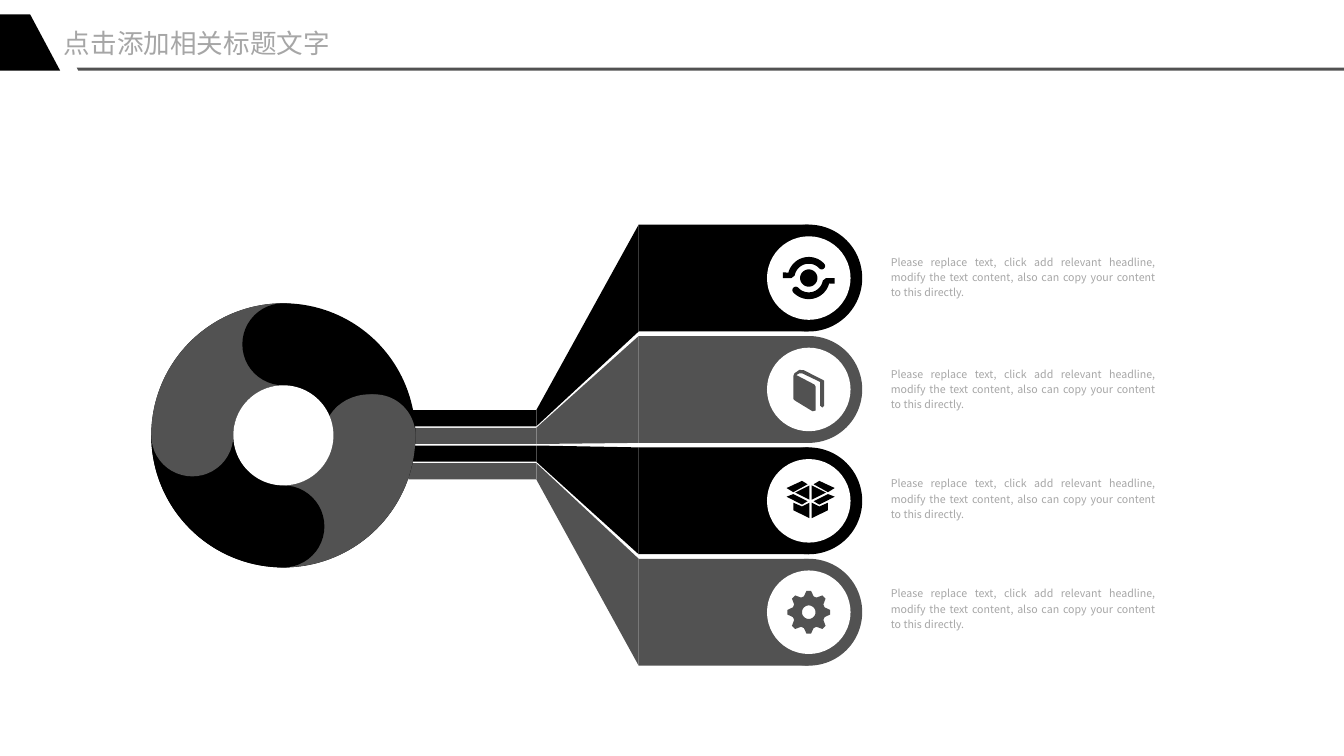
from math import cos, radians, sin

from pptx import Presentation
from pptx.dml.color import RGBColor
from pptx.enum.shapes import MSO_SHAPE as Preset
from pptx.enum.text import MSO_AUTO_SIZE as AutoSize, PP_ALIGN as Align
from pptx.util import Cm, Pt

COLORS = {"black": "000000", "grey": "525252", "white": "FFFFFF", "text": "A6A6A6"}
WIDTH, HEIGHT = 35.71, 20.09
TITLE = "点击添加相关标题文字"
CAPTION = ("Please replace text, click add relevant headline, "
           "modify the text content, also can copy your content to this directly.")
CAPTION_TOPS = (6.73, 9.7, 12.62, 15.54)

BRANCH_TOP, BRANCH_STEP, BRANCH_HEIGHT = 5.97, 2.96, 2.84
STEM_TOP, STEM_STEP, STEM_HEIGHT = 10.9, 0.47, 0.43
STEM_LEFT, BEND_LEFT, BAR_LEFT = 10.85, 14.25, 16.97
BADGE_X, BADGE_RADIUS = 21.49, 1.11
RING_X, RING_Y = 7.53, 11.57
RING_RADIUS, HUB_RADIUS, DOT_RADIUS = 3.51, 1.33, 1.09

BOOK = [(0.38, -0.25), (-0.13, -0.51), (-0.25, -0.52), (-0.38, -0.43), (-0.41, -0.36),
        (-0.41, 0.25), (-0.36, 0.3), (0.1, 0.58), (0.18, 0.56), (0.18, -0.08),
        (0.15, -0.13), (-0.33, -0.38), (-0.25, -0.43), (-0.18, -0.43), (0.3, -0.2),
        (0.3, 0.43), (0.36, 0.48), (0.41, 0.43), (0.41, -0.23)]
BOX_HALF = [
    [(0.03, -0.41), (0.03, -0.03), (0.41, -0.22)],
    [(0.64, -0.34), (0.46, -0.23), (0.08, -0.44), (0.23, -0.53)],
    [(0.64, -0.11), (0.23, 0.1), (0.08, 0.01), (0.46, -0.18)],
    [(0.03, 0.05), (0.03, 0.46), (0.46, 0.25), (0.46, 0.05), (0.23, 0.15)],
]
GEAR_TOOTH = [(-0.13, -0.42), (-0.06, -0.57), (0.06, -0.57), (0.13, -0.42)]


def paint(shape, color):
    """Give a shape a flat fill with no line or shadow."""
    shape.shadow.inherit = False
    shape.fill.solid()
    shape.fill.fore_color.rgb = RGBColor.from_string(COLORS[color])
    shape.line.fill.background()


def add_bar(shapes, left, top, width, height, color):
    """Add a plain rectangle."""
    paint(shapes.add_shape(Preset.RECTANGLE, Cm(left), Cm(top), Cm(width), Cm(height)), color)


def add_disc(shapes, x, y, radius_x, radius_y, color):
    """Add an ellipse around its centre."""
    paint(shapes.add_shape(Preset.OVAL, Cm(x - radius_x), Cm(y - radius_y),
                           Cm(2 * radius_x), Cm(2 * radius_y)), color)


def add_outline(shapes, contours, color, x=0, y=0):
    """Add one filled shape from closed contours placed relative to x, y."""
    placed = [[(Cm(x + px), Cm(y + py)) for px, py in contour] for contour in contours]
    builder = shapes.build_freeform(*placed[0][0])
    for number, contour in enumerate(placed):
        if number:
            builder.move_to(*contour[0])
        builder.add_line_segments(contour[1:], close=True)
    paint(builder.convert_to_shape(), color)


def add_text(shapes, left, top, width, height, words, font, size):
    """Add a text box without margins and return its paragraph."""
    frame = shapes.add_textbox(Cm(left), Cm(top), Cm(width), Cm(height)).text_frame
    frame.margin_left = frame.margin_right = frame.margin_top = frame.margin_bottom = 0
    frame.word_wrap = True
    frame.auto_size = AutoSize.SHAPE_TO_FIT_TEXT
    run = frame.paragraphs[0].add_run()
    run.text = words
    run.font.name = font
    run.font.size = Pt(size)
    run.font.color.rgb = RGBColor.from_string(COLORS["text"])
    return frame.paragraphs[0]


def polar(radius, angle):
    """Return the point at an angle in degrees, clockwise from the right."""
    return radius * cos(radians(angle)), radius * sin(radians(angle))


def arc(radius, start, end, x=0, y=0, steps=36):
    """Return points along a circular arc."""
    turns = (polar(radius, start + (end - start) * step / steps) for step in range(steps + 1))
    return [(x + px, y + py) for px, py in turns]


def orbit_icon():
    """Return a core with two arms, one the half turn of the other."""
    tip_x, tip_y = polar(0.47, 317)
    arm = [(-0.69, 0), (-0.69, -0.15), *arc(0.56, 195, 317),
           *arc(0.09, 317, 497, tip_x, tip_y), *arc(0.38, 317, 190), (-0.46, 0)]
    return [arm, [(-x, -y) for x, y in arm], arc(0.23, 0, 360)]


def box_icon():
    """Return the open box as two mirrored halves."""
    return [[(0.05 + side * x, y) for x, y in part] for side in (1, -1) for part in BOX_HALF]


def gear_icon():
    """Return eight turned teeth and a round hole."""
    rim = []
    for angle in range(0, 360, 45):
        c, s = polar(1, angle)
        rim += [(x * c - y * s, x * s + y * c) for x, y in GEAR_TOOTH]
    return [rim, arc(0.18, 0, 360)]


def add_header(shapes):
    """Add the slide title with its tab and rule."""
    add_outline(shapes, [[(2.04, 1.8), (WIDTH, 1.8), (WIDTH, 1.88), (2.08, 1.88)]], "grey")
    add_outline(shapes, [[(0.8, 0.38), (1.6, 1.88), (0, 1.88), (0, 0.38)]], "black")
    add_text(shapes, 1.7, 0.71, 8.51, 0.86, TITLE, "Arial", 20)


def add_branch(shapes, row, icon, color):
    """Add one branch: bar, stem, bend, round end and icon badge."""
    top = BRANCH_TOP + row * BRANCH_STEP
    stem = STEM_TOP + row * STEM_STEP
    radius = BRANCH_HEIGHT / 2
    middle = top + radius
    add_bar(shapes, BAR_LEFT, top, BADGE_X - BAR_LEFT, BRANCH_HEIGHT, color)
    add_bar(shapes, STEM_LEFT, stem, BEND_LEFT - STEM_LEFT, STEM_HEIGHT, color)
    add_outline(shapes, [[(BEND_LEFT, stem), (BAR_LEFT, top), (BAR_LEFT, top + BRANCH_HEIGHT),
                          (BEND_LEFT, stem + STEM_HEIGHT)]], color)
    add_disc(shapes, BADGE_X, middle, radius, radius, color)
    add_disc(shapes, BADGE_X, middle, BADGE_RADIUS, BADGE_RADIUS, "white")
    add_outline(shapes, icon, color, BADGE_X, middle)


def add_ring(shapes):
    """Add the ring of four overlapping petals around a white hub."""
    orbit = (RING_RADIUS + HUB_RADIUS) / 2
    add_disc(shapes, RING_X, RING_Y, RING_RADIUS, RING_RADIUS, "black")
    for start, petal, dot in ((270, "grey", "black"), (180, "black", "grey"),
                              (90, "grey", "black")):
        end = start - 90
        outline = [*arc(RING_RADIUS, start, end),
                   *arc(DOT_RADIUS, end, end - 180, *polar(orbit, end)),
                   *arc(HUB_RADIUS, end, start)]
        add_outline(shapes, [outline], petal, RING_X, RING_Y)
        x, y = polar(orbit, start)
        add_disc(shapes, RING_X + x, RING_Y + y, DOT_RADIUS, DOT_RADIUS, dot)
    add_disc(shapes, 9.82, RING_Y, 1.21, DOT_RADIUS, "grey")
    add_disc(shapes, RING_X, RING_Y, HUB_RADIUS, HUB_RADIUS, "white")


def main():
    """Build the slide and save it."""
    deck = Presentation()
    deck.slide_width, deck.slide_height = Cm(WIDTH), Cm(HEIGHT)
    shapes = deck.slides.add_slide(deck.slide_layouts[6]).shapes
    for top in CAPTION_TOPS:
        caption = add_text(shapes, 23.67, top, 7.04, 1.19, CAPTION, "Noto Sans CJK SC", 8)
        caption.alignment = Align.JUSTIFY
        caption.line_spacing = 1.2
    branches = ((orbit_icon(), "black"), ([BOOK], "grey"),
                (box_icon(), "black"), (gear_icon(), "grey"))
    for row, (icon, color) in enumerate(branches):
        add_branch(shapes.add_group_shape().shapes, row, icon, color)
    add_ring(shapes.add_group_shape().shapes)
    add_header(shapes)
    deck.save("out.pptx")


if __name__ == "__main__":
    main()
